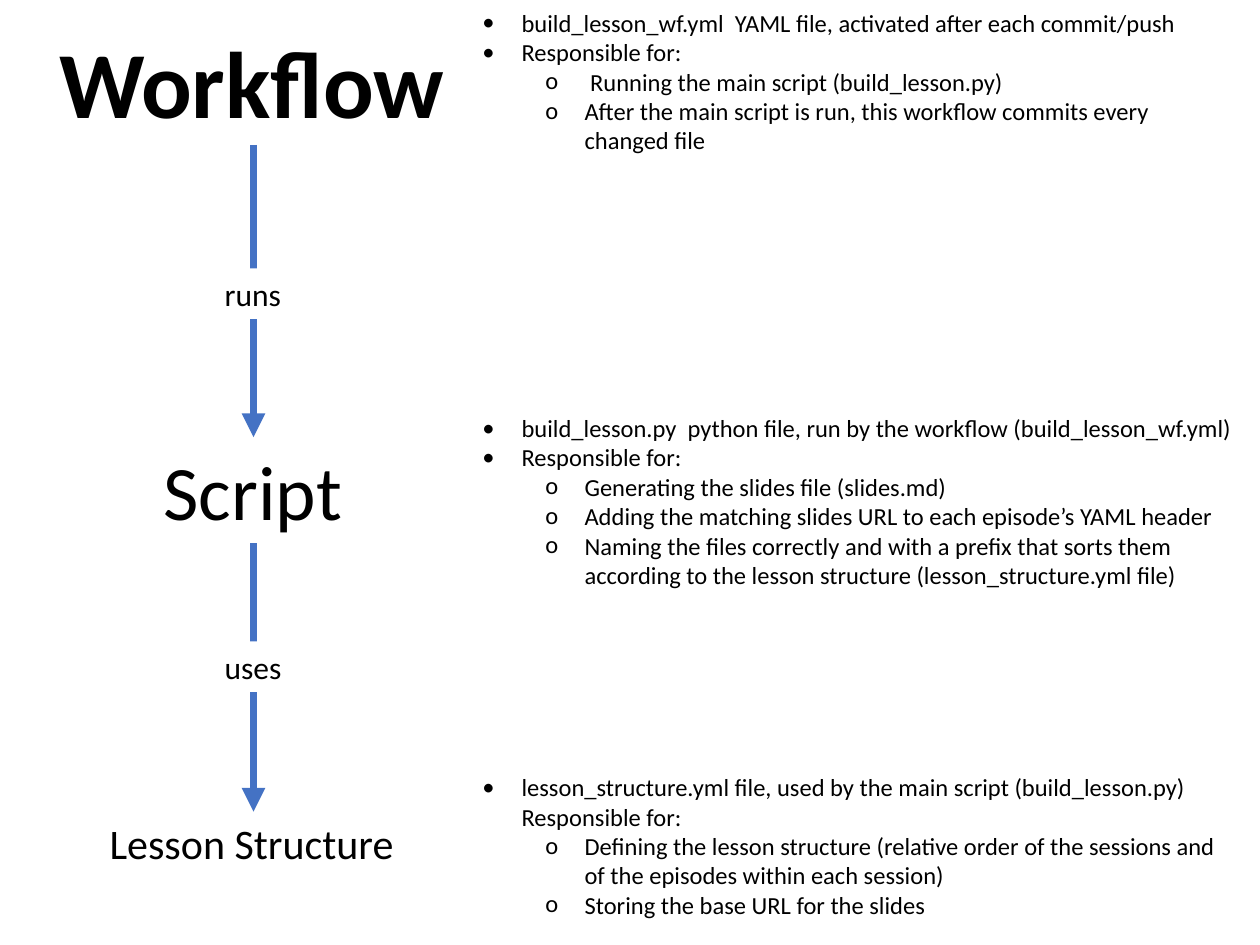
import pptx
import pptx.util
import pptx.dml.color
import pptx.enum.shapes
import pptx.enum.text
import pptx.oxml.ns
import lxml.etree
from pptx.util import Cm, Pt

# Content: stages as (text, left, top, width, height, size, bold), in cm and pt
STAGES = [
    ("Workflow", 0.94, 0.36, 8.36, 2.56, 54, True),
    ("Script", 3.05, 8.81, 4.14, 2.14, 44, False),
    ("Lesson Structure", 1.96, 16.36, 6.3, 1.28, 24, False),
]
# Arrow labels as (text, top)
LABELS = [("runs", 5.41), ("uses", 12.93)]
# Descriptions as (top, height, [(level, text)])
DESCRIPTIONS = [
    (0.03, 3.84, [
        (0, "build_lesson_wf.yml  YAML file, activated after each commit/push"),
        (0, "Responsible for:"),
        (1, " Running the main script (build_lesson.py)"),
        (1, "After the main script is run, this workflow commits every changed file"),
    ]),
    (8.2, 3.84, [
        (0, "build_lesson.py  python file, run by the workflow (build_lesson_wf.yml)"),
        (0, "Responsible for:"),
        (1, "Generating the slides file (slides.md)"),
        (1, "Adding the matching slides URL to each episode’s YAML header"),
        (1, "Naming the files correctly and with a prefix that sorts them "
            "according to the lesson structure (lesson_structure.yml file)"),
    ]),
    (15.44, 3.25, [
        (0, "lesson_structure.yml file, used by the main script (build_lesson.py) "
            "Responsible for:"),
        (1, "Defining the lesson structure (relative order of the sessions and "
            "of the episodes within each session)"),
        (1, "Storing the base URL for the slides"),
    ]),
]
FONT = "Calibri"
BLACK, WHITE, BLUE = "000000", "FFFFFF", "4472C4"
AXIS = 5.11
LABEL_WIDTH, LABEL_HEIGHT = 1.66, 1.02
LIST_LEFT, LIST_WIDTH = 9.47, 15.65
BULLETS = [("•", 0.79), ("o", 2.06)]
HANGING = 0.79


def color(value):
    return pptx.dml.color.RGBColor.from_string(value)


def place(shape, left, top, width, height):
    shape.left, shape.top = Cm(left), Cm(top)
    shape.width, shape.height = Cm(width), Cm(height)


def prepare(frame, wrap):
    frame.word_wrap = wrap
    frame.auto_size = pptx.enum.text.MSO_AUTO_SIZE.SHAPE_TO_FIT_TEXT
    frame.vertical_anchor = pptx.enum.text.MSO_ANCHOR.TOP


def write(para, text, size, bold=False):
    para.alignment = pptx.enum.text.PP_ALIGN.LEFT
    para.space_before = Pt(0)
    span = para.add_run()
    span.text = text
    span.font.name, span.font.size, span.font.bold = FONT, Pt(size), bold
    span.font.color.rgb = color(BLACK)


def add_child(parent, tag, **attributes):
    lxml.etree.SubElement(parent, pptx.oxml.ns.qn(tag), attributes)


def set_bullet(para, level):
    para.level = level
    sign, margin = BULLETS[level]
    properties = para._p.get_or_add_pPr()
    properties.set("marL", str(Cm(margin)))
    properties.set("indent", str(-Cm(HANGING)))
    add_child(properties, "a:buFont", typeface=FONT)
    add_child(properties, "a:buChar", char=sign)


def add_arrow(page, start, end):
    arrow = page.shapes.add_connector(
        pptx.enum.shapes.MSO_CONNECTOR.STRAIGHT,
        Cm(AXIS), Cm(start), Cm(AXIS), Cm(end))
    arrow.line.color.rgb = color(BLUE)
    arrow.line.width = Pt(4.5)
    add_child(arrow.line._get_or_add_ln(), "a:tailEnd", type="triangle")
    add_child(arrow._element.spPr, "a:effectLst")


def main():
    deck = pptx.Presentation()
    deck.slide_width, deck.slide_height = Cm(25.4), Cm(19.05)
    page = deck.slides.add_slide(deck.slide_layouts.get_by_name("Comparison"))
    title, *bodies = list(page.placeholders)

    # Stages: the first one is the title
    for number, (text, left, top, width, height, size, bold) in enumerate(STAGES):
        box = title if number == 0 else page.shapes.add_textbox(0, 0, 0, 0)
        place(box, left, top, width, height)
        prepare(box.text_frame, False)
        write(box.text_frame.paragraphs[0], text, size, bold)

    # Arrows from the foot of each stage to the head of the next
    for upper, lower in zip(STAGES, STAGES[1:]):
        add_arrow(page, upper[2] + upper[4], lower[2])

    # Labels that interrupt the arrows
    for text, top in LABELS:
        label = page.shapes.add_shape(
            pptx.enum.shapes.MSO_SHAPE.RECTANGLE, 0, 0, 0, 0)
        place(label, AXIS - LABEL_WIDTH / 2, top, LABEL_WIDTH, LABEL_HEIGHT)
        label.shadow.inherit = False
        label.fill.solid()
        label.fill.fore_color.rgb = color(WHITE)
        label.line.fill.background()
        prepare(label.text_frame, False)
        write(label.text_frame.paragraphs[0], text, 18)

    # Descriptions in the body placeholders
    for body, (top, height, items) in zip(bodies, DESCRIPTIONS):
        place(body, LIST_LEFT, top, LIST_WIDTH, height)
        frame = body.text_frame
        prepare(frame, True)
        for number, (level, text) in enumerate(items):
            para = frame.add_paragraph() if number else frame.paragraphs[0]
            write(para, text, 14)
            set_bullet(para, level)

    # Unused placeholders
    for body in bodies[len(DESCRIPTIONS):]:
        body._element.getparent().remove(body._element)

    deck.save("out.pptx")


if __name__ == "__main__":
    main()
